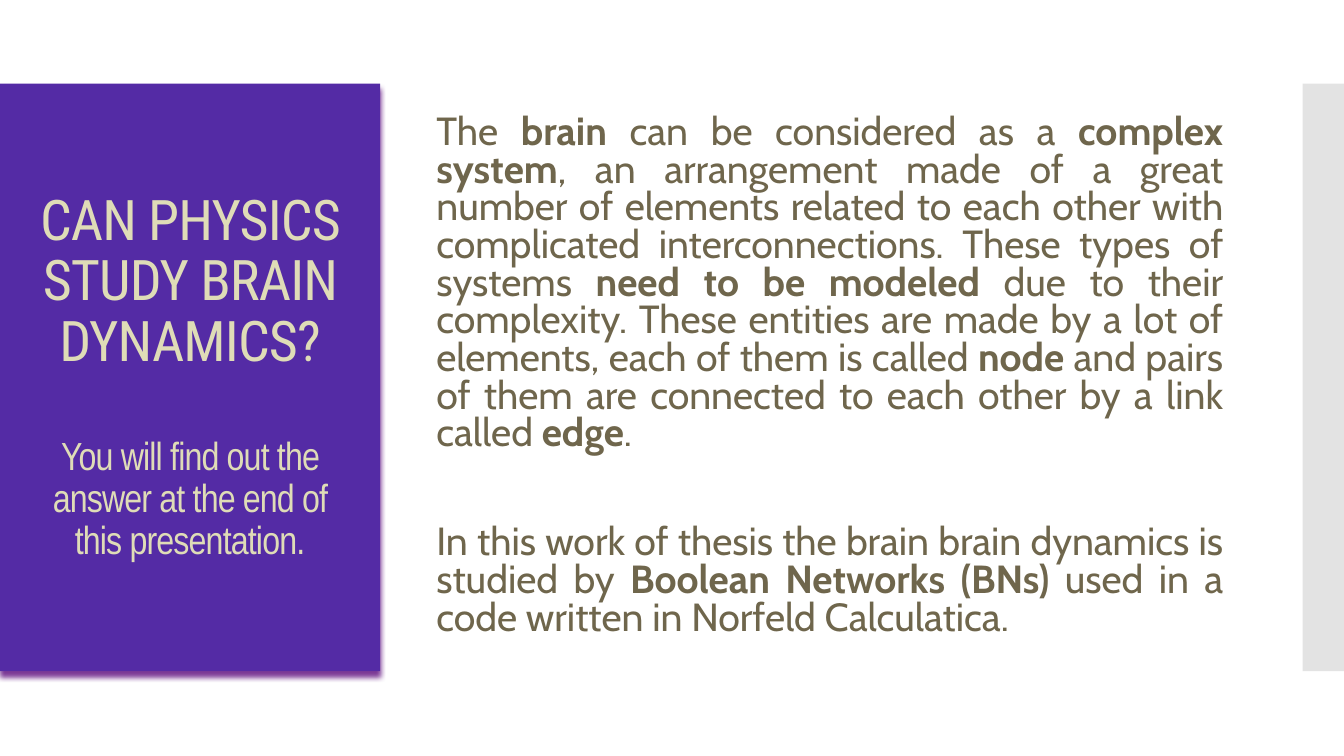
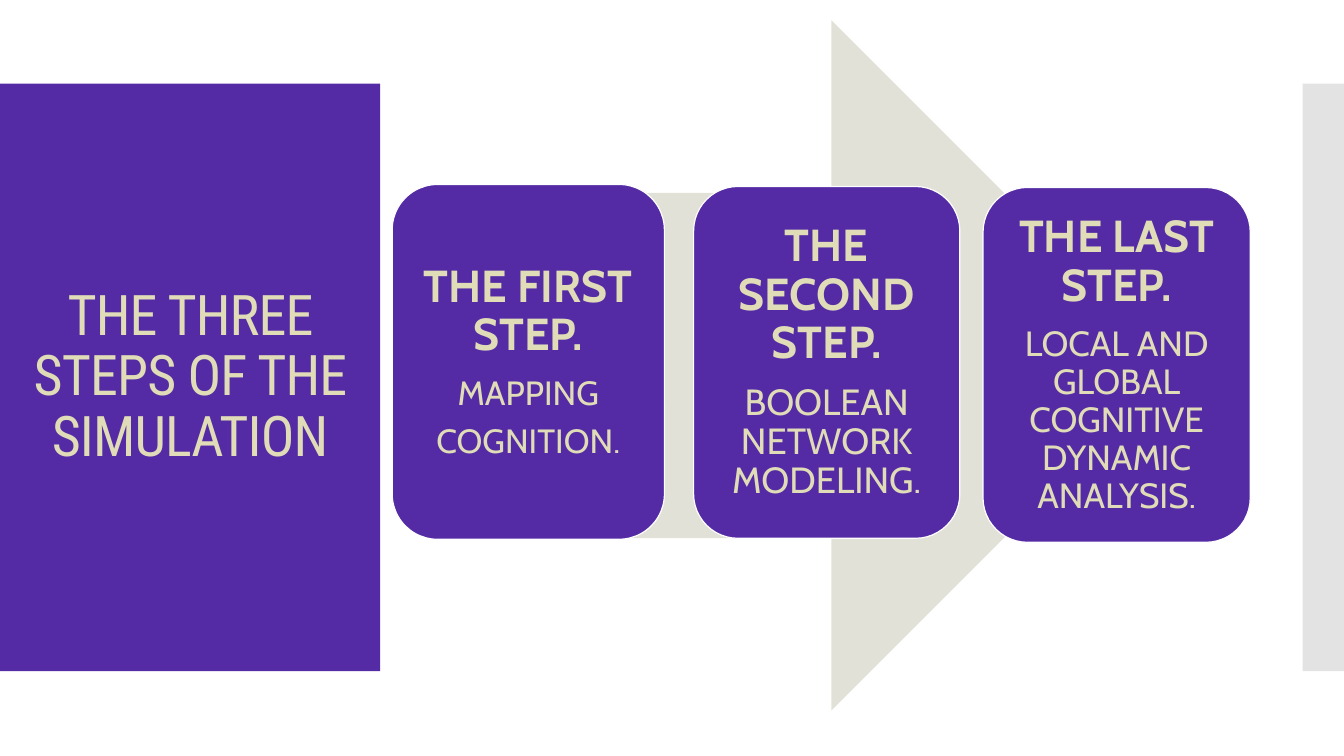
from dataclasses import dataclass

from lxml.etree import SubElement
from pptx import Presentation
from pptx.dml.color import RGBColor
from pptx.enum.shapes import MSO_SHAPE
from pptx.enum.text import MSO_ANCHOR, PP_ALIGN
from pptx.oxml.ns import qn
from pptx.util import Inches, Pt


@dataclass(frozen=True)
class Theme:
    purple: str = "542BA5"
    cream: str = "DFDCB7"
    brown: str = "6F664C"
    sand: str = "E2E1D7"
    grey: str = "E3E3E3"
    white: str = "FFFFFF"
    shade: str = "7C3A96"
    head: str = "Roboto Condensed"
    sub: str = "Arial Narrow"
    body: str = "Cabin"
    head_size: int = 40
    text_size: int = 28
    step_size: int = 32


T = Theme()


def add_box(slide, kind, area, fill, line=None):
    box = slide.shapes.add_shape(kind, *map(Inches, area))
    box.shadow.inherit = False
    box.fill.solid()
    box.fill.fore_color.rgb = RGBColor.from_string(fill)
    if line:
        box.line.color.rgb = RGBColor.from_string(line)
        box.line.width = Pt(0.85)
    else:
        box.line.fill.background()
    return box


def add_shadow(box):
    """Cast a soft shadow straight down, 4 pt away."""
    effects = box._element.spPr.find(qn("a:effectLst"))
    outer = SubElement(effects, qn("a:outerShdw"), blurRad=str(Pt(4)),
                       dist=str(Pt(4)), dir="5400000", algn="t", rotWithShape="0")
    SubElement(outer, qn("a:srgbClr"), val=T.shade)


def set_frame(shape, side, top):
    frame = shape.text_frame
    frame.word_wrap = True
    frame.vertical_anchor = MSO_ANCHOR.MIDDLE
    frame.margin_left = frame.margin_right = Inches(side)
    frame.margin_top = frame.margin_bottom = Inches(top)
    return frame


def style_line(line, font, size, color, align=PP_ALIGN.CENTER, pitch=0.9,
               before=0, after=0):
    line.alignment = align
    line.line_spacing = pitch
    line.space_before = Pt(before)
    line.space_after = Pt(after)
    for run in line.runs:
        run.font.name = font
        run.font.size = Pt(size)
        run.font.color.rgb = RGBColor.from_string(color)


def add_title(slide, title, note=None):
    """Draw the purple title band and the grey strip at the right edge."""
    add_box(slide, MSO_SHAPE.RECTANGLE, (12.92, 0.83, 0.42, 5.83), T.grey)
    band = add_box(slide, MSO_SHAPE.RECTANGLE, (0, 0.83, 3.77, 5.83), T.purple)
    frame = set_frame(band, 0.3, 0.05)
    frame.text = f"{title}\n{note}" if note else title
    fonts = (T.head, T.head_size, 0), (T.sub, T.text_size, 45)
    for line, (font, size, gap) in zip(frame.paragraphs, fonts):
        style_line(line, font, size, T.cream, before=gap)
        for run in line.runs:
            run.font._element.set("spc", "-60")
    return band


def add_body(slide, area, texts):
    """Write justified text; words between asterisks are bold."""
    frame = set_frame(slide.shapes.add_textbox(*map(Inches, area)), 0.1, 0.05)
    for i, text in enumerate(texts):
        line = frame.add_paragraph() if i else frame.paragraphs[0]
        for j, part in enumerate(text.split("*")):
            run = line.add_run()
            run.text = part
            run.font.bold = j % 2 == 1
        style_line(line, T.body, T.text_size, T.brown, PP_ALIGN.JUSTIFY,
                   pitch=0.8, before=51 if i else 12)


def add_step(slide, area, size, lines):
    card = add_box(slide, MSO_SHAPE.ROUNDED_RECTANGLE, area, T.purple, T.white)
    frame = set_frame(card, 0.13, 0.13)
    frame.text = "\n".join(lines)
    for i, line in enumerate(frame.paragraphs):
        points = size if i else T.step_size
        style_line(line, T.body, points, T.cream, after=round(0.35 * points, 1))
        line.runs[0].font.bold = i == 0


def add_question(slide):
    band = add_title(slide, "CAN PHYSICS STUDY BRAIN DYNAMICS?",
                     "You will find out the answer at the end of this presentation.")
    add_shadow(band)
    add_body(slide, (4.23, 0.94, 8, 5.6), (
        "The *brain* can be considered as a *complex system*, an arrangement made "
        "of a great number of elements related to each other with complicated "
        "interconnections. These types of systems *need to be modeled *due to "
        "their complexity. These entities are made by a lot of elements, each of "
        "them is called *node* and pairs of them are connected to each other by "
        "a link called *edge*.",
        "In this work of thesis the brain brain dynamics is studied by *Boolean "
        "Networks (BNs) *used in a code written in Norfeld Calculatica."))


def add_steps(slide):
    add_title(slide, "THE THREE STEPS OF THE SIMULATION")
    add_box(slide, MSO_SHAPE.RIGHT_ARROW, (4.35, 0.2, 7.32, 6.85), T.sand)
    steps = (
        ((3.89, 1.83, 2.7, 3.52), 24,
         ("THE FIRST STEP.", "MAPPING", "COGNITION.")),
        ((6.88, 1.85, 2.64, 3.49), 26,
         ("THE SECOND STEP.", "BOOLEAN NETWORK MODELING.")),
        ((9.75, 1.86, 2.65, 3.52), 25,
         ("THE LAST STEP.", "LOCAL AND GLOBAL COGNITIVE DYNAMIC ANALYSIS.")),
    )
    for area, size, lines in steps:
        add_step(slide, area, size, lines)


def main():
    deck = Presentation()
    deck.slide_width, deck.slide_height = Inches(13.33), Inches(7.5)
    for build in (add_question, add_steps):
        build(deck.slides.add_slide(deck.slide_layouts[6]))
    deck.save("out.pptx")


if __name__ == "__main__":
    main()
